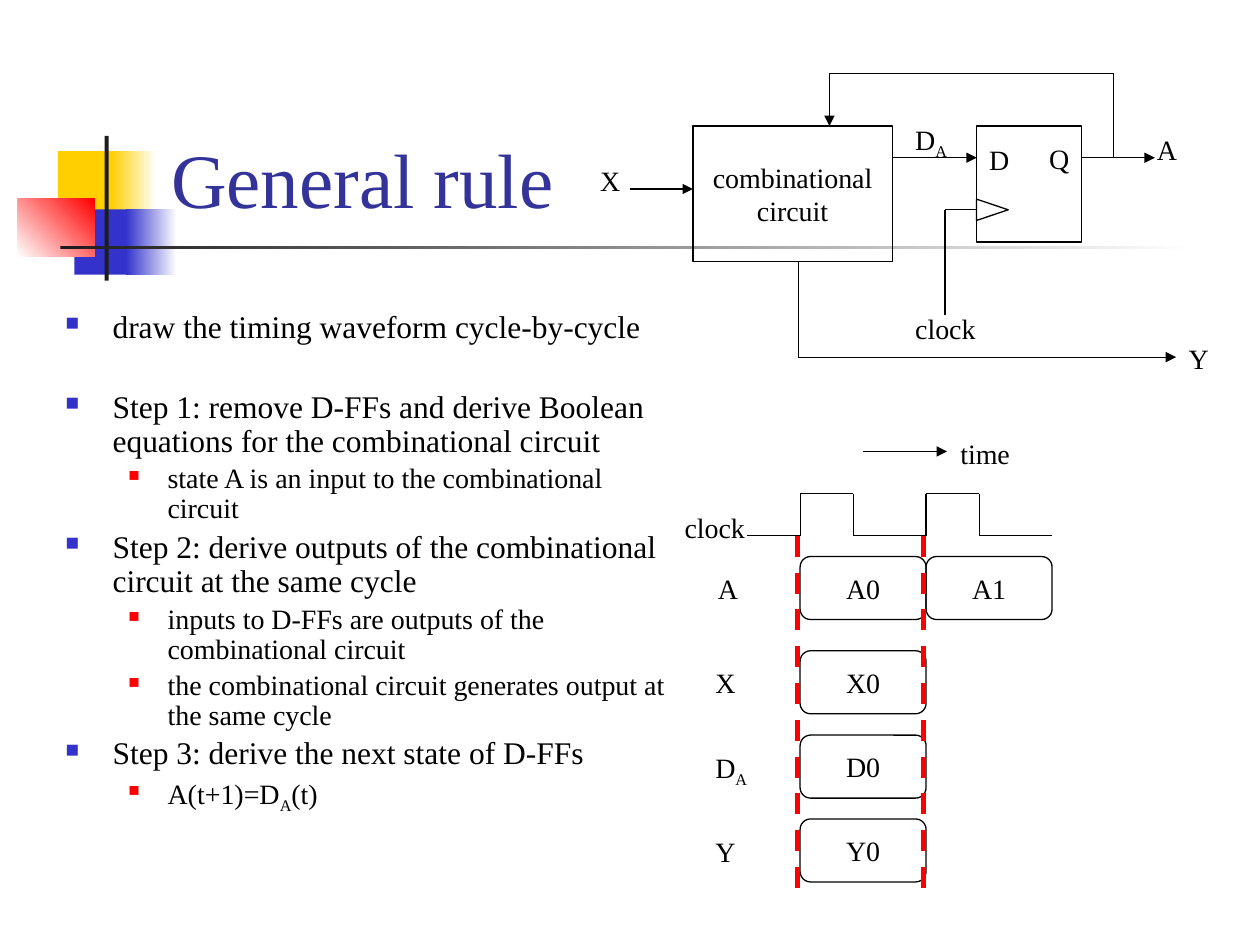
from pptx import Presentation
from pptx.dml.color import RGBColor
from pptx.enum.dml import MSO_LINE
from pptx.enum.shapes import MSO_CONNECTOR, MSO_SHAPE
from pptx.enum.text import MSO_ANCHOR, PP_ALIGN
from pptx.oxml.ns import qn
from pptx.util import Cm, Pt
from lxml import etree

RECT, ROUND = MSO_SHAPE.RECTANGLE, MSO_SHAPE.ROUNDED_RECTANGLE
TRIANGLE = MSO_SHAPE.ISOSCELES_TRIANGLE
STRAIGHT, DASH = MSO_CONNECTOR.STRAIGHT, MSO_LINE.DASH
TOP, MIDDLE, BOTTOM = MSO_ANCHOR.TOP, MSO_ANCHOR.MIDDLE, MSO_ANCHOR.BOTTOM
LEFT, CENTER = PP_ALIGN.LEFT, PP_ALIGN.CENTER

THEME = {
    "font": "Times New Roman",
    "ink": "000000", "title": "333399", "paper": "FFFFFF",
    "yellow": "FFCF01", "blue": "3333CC", "red": "FF0000", "bar": "1C1C1C",
    "title_pt": 44, "body_pt": (18, 16), "label_pt": 16,
    "line_pt": 0.75, "mark_pt": 3,
}

# Lengths are in centimetres. Decoration: box, colours, gradient angle
DECORATION = [
    ((1.17, 3.05, 1.22, 1.32), ("yellow",), 0),
    ((2.24, 3.05, 0.91, 1.32), ("yellow", "paper"), 0),
    ((1.5, 4.22, 1.17, 1.32), ("blue",), 0),
    ((2.54, 4.22, 1.02, 1.32), ("blue", "paper"), 0),
    ((0.36, 4.01, 1.55, 1.17), ("paper", "red"), 45),
    ((2.11, 2.74, 0.08, 2.92), ("bar",), 0),
    ((1.22, 4.95, 22.86, 0.08), ("bar", "paper"), 0),
]

# An underscore makes the next character a subscript. Level, text, space after
BULLETS = [
    (0, "draw the timing waveform cycle-by-cycle", 22.5),
    (0, "Step 1: remove D-FFs and derive Boolean equations for the combinational circuit", 0),
    (1, "state A is an input to the combinational circuit", 0),
    (0, "Step 2: derive outputs of the combinational circuit at the same cycle", 0),
    (1, "inputs to D-FFs are outputs of the combinational circuit", 0),
    (1, "the combinational circuit generates output at the same cycle", 0),
    (0, "Step 3: derive the next state of D-FFs", 0),
    (1, "A(t+1)=D_A(t)", 0),
]
# Per level: left margin, hanging indent, bullet colour, bullet size in percent
LEVELS = [(0.95, 0.95, "blue", 60), (2.06, 0.79, "red", 55)]

LABELS = [
    ("D", 19.69, 2.74), ("Q", 20.9, 2.72), ("clock", 18.2, 6.15),
    ("A", 23.07, 2.54), ("D_A", 18.2, 2.34), ("Y", 23.71, 6.77),
    ("X", 11.85, 3.18), ("time", 19.11, 8.68), ("clock", 13.55, 10.16),
]

# Wires: points, arrow at the end
WIRES = [
    ([(17.99, 3.18), (19.69, 3.18)], True),
    ([(19.69, 4.23), (19.05, 4.23), (19.05, 6.35)], False),
    ([(21.8, 3.18), (23.28, 3.18)], True),
    ([(22.44, 3.18), (22.44, 1.48), (16.72, 1.48), (16.72, 2.54)], True),
    ([(16.09, 5.28), (16.09, 7.2), (23.71, 7.2)], True),
    ([(12.7, 3.81), (13.97, 3.81)], True),
    ([(17.4, 9.1), (19.09, 9.1)], True),
]

CYCLE, START = 2.54, 16.13
PULSE, HIGH, LOW = 1.07, 9.95, 10.8
# Signal, label left, top of its cells, value in each cycle
SIGNALS = [
    ("A", 14.22, 11.22, ["A0", "A1"]),
    ("X", 14.17, 13.12, ["X0"]),
    ("D_A", 14.17, 14.82, ["D0"]),
    ("Y", 14.17, 16.51, ["Y0"]),
]
CELL_H, LABEL_DROP = 1.27, 0.18

prs = Presentation()
prs.slide_width, prs.slide_height = Cm(25.4), Cm(19.05)
s = prs.slides.add_slide(prs.slide_layouts[6])


def rgb(name):
    return RGBColor.from_string(THEME[name])


def add_text(tf, text, p=None, size=THEME["label_pt"], color="ink",
             align=LEFT, anchor=TOP, wrap=False):
    """Write text into p, or into the frame's first paragraph."""
    tf.word_wrap, tf.vertical_anchor = wrap, anchor
    p = p or tf.paragraphs[0]
    p.alignment = align
    first, *rest = text.split("_")
    runs = [(first, False)]
    for part in rest:
        runs += [(part[0], True), (part[1:], False)]
    for words, subscript in runs:
        if not words:
            continue
        r = p.add_run()
        r.text = words
        r.font.name, r.font.size = THEME["font"], Pt(size)
        r.font.color.rgb = rgb(color)
        if subscript:
            r.font._element.set("baseline", "-25000")
    return p


def add_box(left, top, width, height):
    return s.shapes.add_textbox(Cm(left), Cm(top), Cm(width), Cm(height)).text_frame


def add_label(text, left, top):
    add_text(add_box(left, top, 0.55 + 0.3 * len(text), 0.94), text)


def add_shape(kind, left, top, width, height):
    sp = s.shapes.add_shape(kind, Cm(left), Cm(top), Cm(width), Cm(height))
    sp.shadow.inherit = False
    return sp


def add_outline(kind, *box, lines=()):
    sp = add_shape(kind, *box)
    sp.fill.background()
    sp.line.color.rgb, sp.line.width = rgb("ink"), Pt(THEME["line_pt"])
    tf = sp.text_frame
    for i, text in enumerate(lines):
        p = tf.add_paragraph() if i else tf.paragraphs[0]
        add_text(tf, text, p, align=CENTER, anchor=MIDDLE)
    return sp


def add_wire(points, arrow=False, color="ink", width=THEME["line_pt"], dash=None):
    """Join the points with straight connectors."""
    for start, end in zip(points, points[1:]):
        line = s.shapes.add_connector(STRAIGHT, *map(Cm, start + end))
        line.line.color.rgb, line.line.width = rgb(color), Pt(width)
        if dash:
            line.line.dash_style = dash
        etree.SubElement(line._element.spPr, qn("a:effectLst"))
    if arrow:
        etree.SubElement(line.line._get_or_add_ln(), qn("a:tailEnd"), type="triangle")


def add_bullet(p, level):
    margin, hang, color, percent = LEVELS[level]
    pPr = p._p.get_or_add_pPr()
    pPr.set("marL", str(Cm(margin)))
    pPr.set("indent", str(-Cm(hang)))
    clr = etree.SubElement(pPr, qn("a:buClr"))
    etree.SubElement(clr, qn("a:srgbClr"), val=THEME[color])
    etree.SubElement(pPr, qn("a:buSzPct"), val=str(percent * 1000))
    etree.SubElement(pPr, qn("a:buChar"), char="■")


for box, colors, angle in DECORATION:
    sp = add_shape(RECT, *box)
    sp.line.fill.background()
    if len(colors) == 1:
        sp.fill.solid()
        sp.fill.fore_color.rgb = rgb(colors[0])
    else:
        sp.fill.gradient()
        sp.fill.gradient_angle = angle
        for stop, color in zip(sp.fill.gradient_stops, colors):
            stop.color.rgb = rgb(color)

add_text(add_box(3.2, 0.58, 21.64, 4.06), "General rule", size=THEME["title_pt"],
         color="title", anchor=BOTTOM, wrap=True)

body = add_box(1.07, 6.15, 12.9, 11.43)
for i, (level, text, after) in enumerate(BULLETS):
    p = body.add_paragraph() if i else body.paragraphs[0]
    size = THEME["body_pt"][level]
    add_text(body, text, p, size=size, wrap=True)
    p.level, p.line_spacing = level, 0.9
    p.space_before, p.space_after = Pt(0.2 * size), Pt(after)
    add_bullet(p, level)

add_outline(RECT, 13.97, 2.54, 4.02, 2.74, lines=["combinational", "circuit"])
add_outline(RECT, 19.69, 2.54, 2.11, 2.34)
add_outline(TRIANGLE, 19.79, 3.91, 0.43, 0.64).rotation = 90
for points, arrow in WIRES:
    add_wire(points, arrow)
for label in LABELS:
    add_label(*label)

wave = [(START - PULSE, LOW)]
for x in (START, START + CYCLE):
    wave += [(x, LOW), (x, HIGH), (x + PULSE, HIGH), (x + PULSE, LOW)]
add_wire(wave + [(START + 2 * CYCLE, LOW)])

for name, left, top, values in SIGNALS:
    add_label(name, left, top + LABEL_DROP)
    for i, value in enumerate(values):
        add_outline(ROUND, START + i * CYCLE, top, CYCLE, CELL_H, lines=[value])

for x in (START - 0.05, START + CYCLE - 0.05):
    add_wire([(x, LOW), (x, 17.98)], color="red", width=THEME["mark_pt"], dash=DASH)

prs.save("out.pptx")
